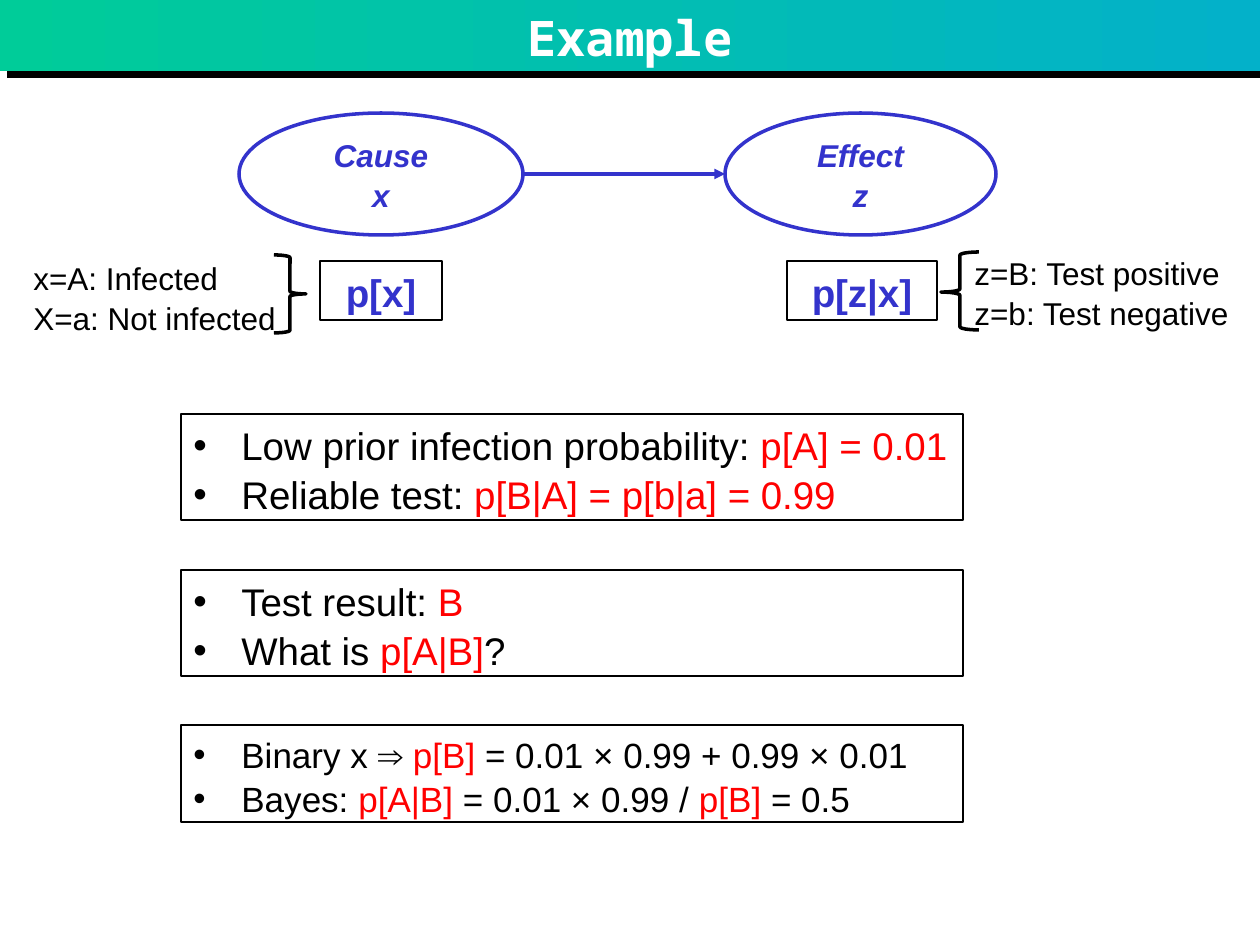
"""Builds a slide on inferring an infection from a test with Bayes' rule."""
import lxml.etree
import pptx
import pptx.dml.color
import pptx.enum.shapes
import pptx.enum.text
import pptx.oxml.ns
import pptx.util

RGBColor = pptx.dml.color.RGBColor
BLACK = RGBColor(0, 0, 0)
WHITE = RGBColor(255, 255, 255)
RED = RGBColor(255, 0, 0)
BLUE = RGBColor(0x33, 0x33, 0xCC)
GREEN = RGBColor(0x00, 0xCC, 0x99)
TEAL = RGBColor(0x03, 0xB1, 0xC9)
SHAPES = pptx.enum.shapes.MSO_SHAPE
CENTER = pptx.enum.text.PP_ALIGN.CENTER
MIDDLE = pptx.enum.text.MSO_ANCHOR.MIDDLE
PX = 914400 / 126

TITLE = "Example"
PROBABILITIES = [("p[x]", (320, 261, 122, 59)), ("p[z|x]", (787, 261, 150, 59))]
NODES = [
    (["Effect", "z"], (725, 113, 271, 122)),
    (["Cause", "x"], (239, 113, 284, 122)),
]
LABELS = [
    (["x=A: Infected", "X=a: Not infected"], (21, 251, 284, 89)),
    (["z=B: Test positive", "z=b: Test negative"], (962, 246, 285, 89)),
]
ARROW = (523, 725, 174)
LEFT_BRACE = (274, 255, 32, 78)
RIGHT_BRACE = (941, 252, 38, 78)
LIST_LEFT, LIST_WIDTH, LIST_INDENT = 181, 782, 48
LISTS = [
    (414, 106, 22, [
        [("Low prior infection probability: ", BLACK), ("p[A] = 0.01", RED)],
        [("Reliable test: ", BLACK), ("p[B|A] = p[b|a] = 0.99", RED)],
    ]),
    (570, 106, 22, [
        [("Test result: ", BLACK), ("B", RED)],
        [("What is ", BLACK), ("p[A|B]", RED), ("?", BLACK)],
    ]),
    (725, 97, 20, [
        [("Binary x ⇒ ", BLACK), ("p[B]", RED), (" = 0.01 × 0.99 + 0.99 × 0.01", BLACK)],
        [("Bayes: ", BLACK), ("p[A|B]", RED), (" = 0.01 × 0.99 / ", BLACK),
         ("p[B]", RED), (" = 0.5", BLACK)],
    ]),
]


def emu(*lengths):
    return [round(length * PX) for length in lengths]


def add_xml(parent, tag, **attributes):
    return lxml.etree.SubElement(parent, pptx.oxml.ns.qn(tag), attributes)


def add_outline(slide, kind, place, color=BLACK, width=0, fill=None):
    shape = slide.shapes.add_shape(kind, *emu(*place))
    shape.shadow.inherit = False
    if fill is None:
        shape.fill.background()
    else:
        shape.fill.solid()
        shape.fill.fore_color.rgb = fill
    shape.line.color.rgb = color
    shape.line.width = pptx.util.Pt(width)
    return shape


def write(shape, paragraphs, size, align=None, bullets=False, anchor=None,
          font="Arial", bold=False, italic=False):
    frame = shape.text_frame
    frame.word_wrap = True
    frame.vertical_anchor = anchor or pptx.enum.text.MSO_ANCHOR.TOP
    for index, runs in enumerate(paragraphs):
        paragraph = frame.add_paragraph() if index else frame.paragraphs[0]
        if bullets:
            properties = paragraph._p.get_or_add_pPr()
            indent = emu(LIST_INDENT)[0]
            properties.set("marL", str(indent))
            properties.set("indent", str(-indent))
            add_xml(properties, "a:buFont", typeface="Arial")
            add_xml(properties, "a:buChar", char="•")
        paragraph.alignment = align or pptx.enum.text.PP_ALIGN.LEFT
        paragraph.line_spacing = 1.05
        for text, color in runs:
            run = paragraph.add_run()
            run.text = text
            run.font.name = font
            run.font.size = pptx.util.Pt(size)
            run.font.bold = bold
            run.font.italic = italic
            run.font.color.rgb = color


def add_title(slide):
    title = slide.shapes.title
    title.left, title.top, title.width, title.height = emu(0, 0, 1260, 71)
    title.fill.gradient()
    title.fill.gradient_angle = 0
    for stop, color in zip(title.fill.gradient_stops, (GREEN, TEAL)):
        stop.color.rgb = color
    title.shadow.inherit = False
    effects = title._element.spPr.find(pptx.oxml.ns.qn("a:effectLst"))
    shadow = add_xml(effects, "a:outerShdw", dist=str(pptx.util.Pt(5.7)),
                     dir="2700000", algn="ctr", rotWithShape="0")
    add_xml(shadow, "a:srgbClr", val=str(BLACK))
    write(title, [[(TITLE, WHITE)]], 28, CENTER, anchor=MIDDLE,
          font="Noto Sans Mono", bold=True)


def add_arrow(slide):
    start, end, height = ARROW
    arrow = slide.shapes.add_connector(
        pptx.enum.shapes.MSO_CONNECTOR.STRAIGHT, *emu(start, height, end, height))
    arrow.line.color.rgb = BLUE
    arrow.line.width = pptx.util.Pt(2)
    add_xml(arrow.line._get_or_add_ln(), "a:tailEnd", type="triangle")
    add_xml(arrow._element.spPr, "a:effectLst")


def main():
    presentation = pptx.Presentation()
    presentation.slide_width, presentation.slide_height = emu(1260, 945)
    slide = presentation.slides.add_slide(presentation.slide_layouts[5])
    add_title(slide)
    add_arrow(slide)
    for text, place in PROBABILITIES:
        box = add_outline(slide, SHAPES.RECTANGLE, place)
        write(box, [[(text, BLUE)]], 22, CENTER, bold=True)
    for lines, place in NODES:
        node = add_outline(slide, SHAPES.OVAL, place, BLUE, 2, WHITE)
        node.text_frame.margin_left = node.text_frame.margin_right = 0
        write(node, [[(line, BLUE)] for line in lines], 18, CENTER,
              anchor=MIDDLE, bold=True, italic=True)
    for lines, place in LABELS:
        label = slide.shapes.add_textbox(*emu(*place))
        write(label, [[(line, BLACK)] for line in lines], 18)
    add_outline(slide, SHAPES.RIGHT_BRACE, LEFT_BRACE, BLACK, 2, WHITE)
    brace = add_outline(slide, SHAPES.RIGHT_BRACE, RIGHT_BRACE, BLACK, 2)
    brace.adjustments[1] = 0.515
    brace._element.spPr.xfrm.set("flipH", "1")
    for top, height, size, items in LISTS:
        box = add_outline(slide, SHAPES.RECTANGLE, (LIST_LEFT, top, LIST_WIDTH, height))
        write(box, items, size, bullets=True)
    presentation.save("out.pptx")


if __name__ == "__main__":
    main()
